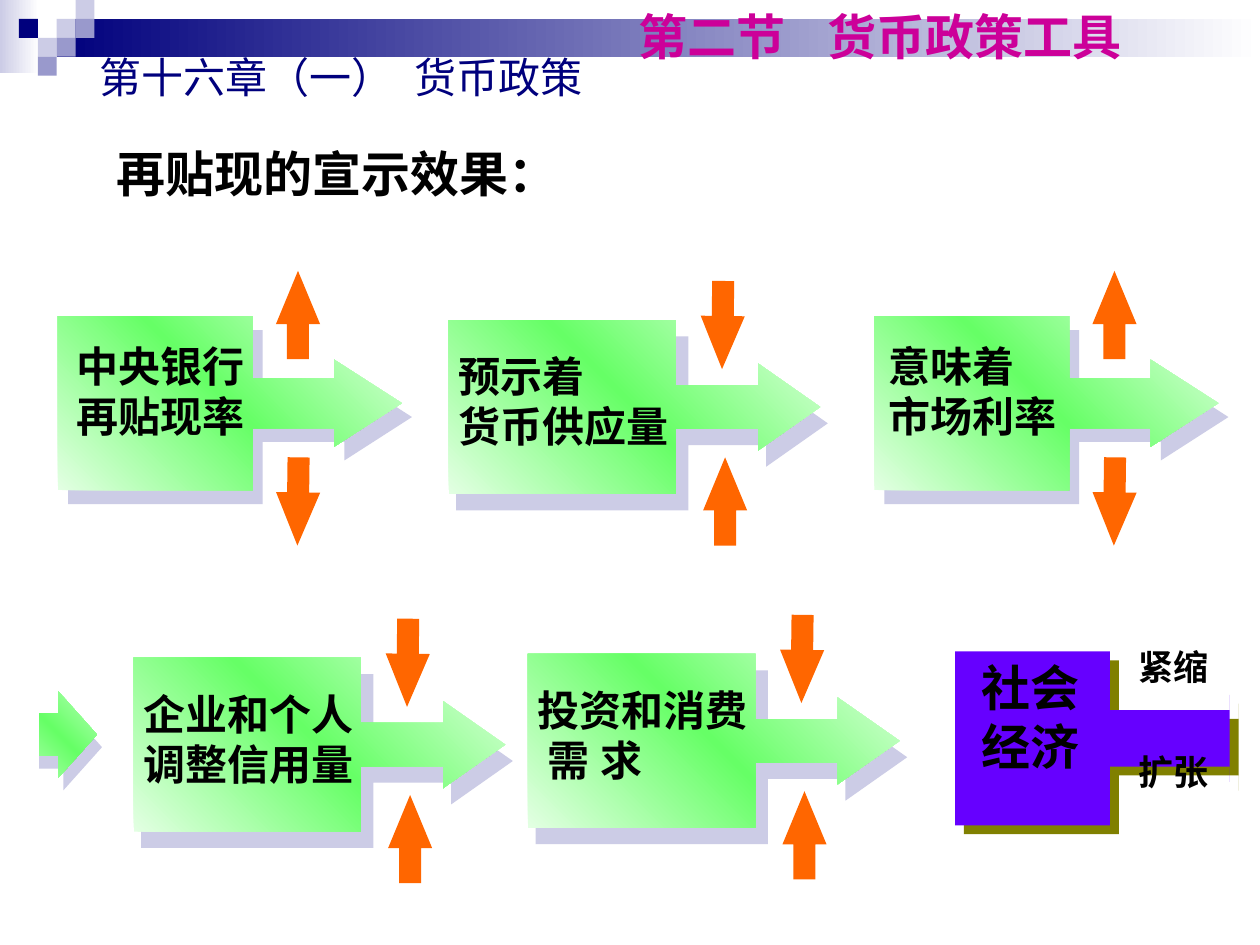
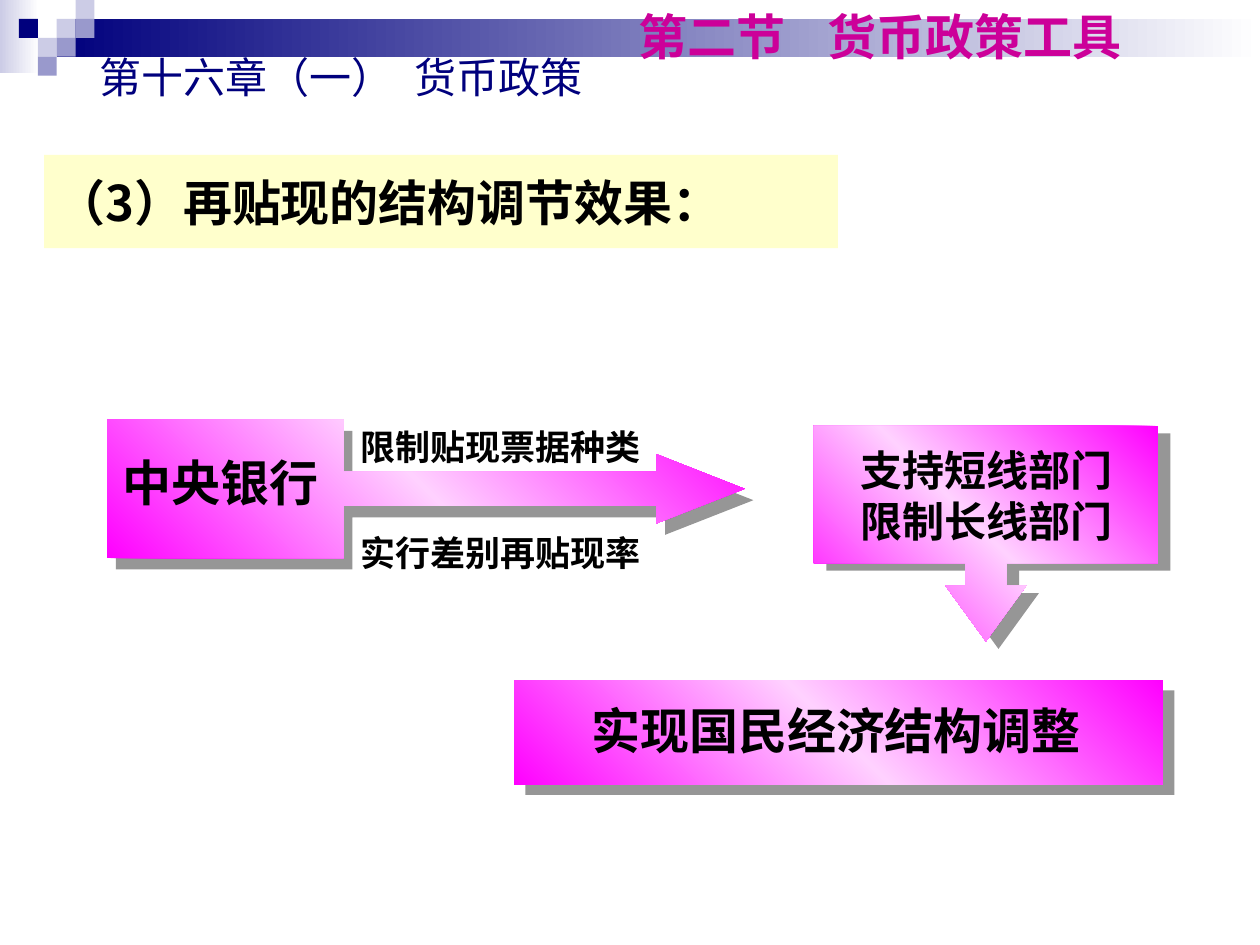
from lxml.etree import SubElement
from pptx import Presentation
from pptx.dml.color import RGBColor
from pptx.enum.shapes import MSO_SHAPE
from pptx.enum.text import MSO_ANCHOR, PP_ALIGN
from pptx.oxml.ns import qn
from pptx.util import Inches, Pt

NAVY = RGBColor(0x00, 0x00, 0x7D)
LAVENDER = RGBColor(0xCC, 0xCC, 0xE6)
PERIWINKLE = RGBColor(0x99, 0x99, 0xCC)
WHITE = RGBColor(0xFF, 0xFF, 0xFF)
BLACK = RGBColor(0x00, 0x00, 0x00)
CRIMSON = RGBColor(0xCC, 0x00, 0x99)
ORANGE = RGBColor(0xFF, 0x66, 0x00)
PALE_GREEN = RGBColor(0xE3, 0xFF, 0xE3)
GREEN = RGBColor(0x66, 0xFF, 0x66)
VIOLET = RGBColor(0x66, 0x00, 0xFF)
OLIVE = RGBColor(0x80, 0x80, 0x00)
MAGENTA = RGBColor(0xFF, 0x00, 0xFF)
PALE_PINK = RGBColor(0xFF, 0xD1, 0xFF)
GRAY = RGBColor(0x96, 0x96, 0x96)
CREAM = RGBColor(0xFF, 0xFF, 0xCC)

GREEN_SHEEN = (PALE_GREEN, GREEN, PALE_GREEN)
PINK_SHEEN = (MAGENTA, PALE_PINK, MAGENTA)
DIAGONAL = 45

CJK_FONT = "Noto Sans CJK SC"
SERIF_FONT = "Times New Roman"
HEADER_FONT = "Arial"

SMALL_CALLOUT = (0.286, 0.25, 0.389, 0.566)
LARGE_CALLOUT = (0.25, 0.25, 0.357, 0.612)
LARGE_SHADOW = (0.25, 0.25, 0.355, 0.625)
ENTRY_CALLOUT = (0.566, 0.57, 0.51, 0.062)
ECONOMY_CALLOUT = (0.324, 0.25, 0, 0.564)
BANK_CALLOUT = (0.248, 0.25, 0.637, 0.371)
SECTOR_CALLOUT = (0.191, 0.188, 0.259, 0.637)


def place(left, top, width, height):
    return Inches(left), Inches(top), Inches(width), Inches(height)


def fill_gradient(shape, colors, angle):
    """Spread the colours evenly along a linear gradient."""
    shape.fill.gradient()
    shape.fill.gradient_angle = angle
    stops = shape.element.spPr.find(qn("a:gradFill")).find(qn("a:gsLst"))
    for stop in list(stops):
        stops.remove(stop)
    for index, color in enumerate(colors):
        position = 100000 * index // (len(colors) - 1)
        stop = SubElement(stops, qn("a:gs"), pos=str(position))
        SubElement(stop, qn("a:srgbClr"), val=str(color))


def add_block(slide, box, fill, kind=MSO_SHAPE.RECTANGLE, adjustments=(),
              angle=DIAGONAL, rotation=0):
    """Add a borderless shape; a tuple of colours as fill gives a gradient."""
    shape = slide.shapes.add_shape(kind, *place(*box))
    shape.shadow.inherit = False
    shape.line.fill.background()
    shape.rotation = rotation
    for index, value in enumerate(adjustments):
        shape.adjustments[index] = value
    if isinstance(fill, RGBColor):
        shape.fill.solid()
        shape.fill.fore_color.rgb = fill
    else:
        fill_gradient(shape, fill, angle)
    return shape


def add_shadowed(slide, box, fill, shadow, offset, kind=MSO_SHAPE.RIGHT_ARROW_CALLOUT,
                 adjustments=(), shadow_adjustments=None):
    left, top, width, height = box
    shadow_box = (left + offset[0], top + offset[1], width, height)
    add_block(slide, shadow_box, shadow, kind, shadow_adjustments or adjustments)
    add_block(slide, box, fill, kind, adjustments)


def write_text(frame, lines, size=24, color=BLACK, bold=True, font=CJK_FONT,
               align=PP_ALIGN.LEFT, anchor=MSO_ANCHOR.TOP, margin=0.05,
               line_spacing=None, space_before=0, tab=None, indent=0):
    """Write lines; a line is a string or a list of (text, font) runs.

    Tab and indent, in inches, apply to the last line.
    """
    frame.word_wrap = True
    frame.vertical_anchor = anchor
    frame.margin_left = frame.margin_right = Inches(0.1)
    frame.margin_top = frame.margin_bottom = Inches(margin)
    for index, line in enumerate(lines):
        paragraph = frame.add_paragraph() if index else frame.paragraphs[0]
        if tab and index == len(lines) - 1:
            properties = paragraph._p.get_or_add_pPr()
            properties.set("marL", "0")
            properties.set("indent", str(Inches(indent)))
            tabs = SubElement(properties, qn("a:tabLst"))
            SubElement(tabs, qn("a:tab"), pos=str(Inches(tab)), algn="l")
        paragraph.alignment = align
        if line_spacing:
            paragraph.line_spacing = line_spacing
        if index and space_before:
            paragraph.space_before = Pt(space_before)
        for text, name in [(line, font)] if isinstance(line, str) else line:
            run = paragraph.add_run()
            run.text = text
            run.font.size = Pt(size)
            run.font.bold = bold
            run.font.color.rgb = color
            run.font.name = name
            SubElement(run._r.get_or_add_rPr(), qn("a:ea"), typeface=CJK_FONT)


def add_text(slide, box, *lines, **style):
    write_text(slide.shapes.add_textbox(*place(*box)).text_frame, lines, **style)


def add_header(slide):
    add_block(slide, (0, 0, 0.31, 0.58), (LAVENDER, WHITE), angle=0)
    add_block(slide, (0.45, 0.15, 9.55, 0.3), (NAVY, WHITE), angle=0)
    tile = 0.15
    for column, row, color in (
            (3, 1, LAVENDER), (4, 0, LAVENDER), (4, 1, PERIWINKLE),
            (2, 2, LAVENDER), (1, 1, NAVY), (3, 2, PERIWINKLE), (2, 3, PERIWINKLE)):
        add_block(slide, (column * tile, row * tile, tile, tile), color)
    add_text(slide, (0.69, 0.36, 4.2, 0.5), "第十六章（一）\t货币政策",
             color=NAVY, bold=False, font=HEADER_FONT, tab=2.47)
    add_text(slide, (4.97, 0, 4.2, 0.57), "第二节\t货币政策工具",
             size=28, color=CRIMSON, font=HEADER_FONT, tab=1.52)


def add_change_arrow(slide, left, top, up):
    add_block(slide, (left, top, 0.35, 0.7), ORANGE, MSO_SHAPE.UP_ARROW,
              (0.5, 1.206), rotation=0 if up else 180.8)


def add_rate_step(slide, left, top, *lines, align=PP_ALIGN.LEFT):
    """Small step: the rise is above the arrow, the fall below."""
    add_shadowed(slide, (left, top, 2.73, 1.38), GREEN_SHEEN, LAVENDER,
                 (0.08, 0.11), adjustments=SMALL_CALLOUT)
    add_change_arrow(slide, left + 1.73, top - 0.36, up=True)
    add_change_arrow(slide, left + 1.73, top + 1.12, up=False)
    add_text(slide, (left + 0.01, top + 0.14, 1.61, 0.9), *lines, align=align)


def add_quantity_step(slide, left, top, *lines, **style):
    """Large step: the fall is above the arrow, the rise below."""
    add_shadowed(slide, (left, top, 2.95, 1.38), GREEN_SHEEN, LAVENDER,
                 (0.06, 0.13), adjustments=LARGE_CALLOUT,
                 shadow_adjustments=LARGE_SHADOW)
    add_change_arrow(slide, left + 2, top - 0.31, up=False)
    add_change_arrow(slide, left + 2.02, top + 1.09, up=True)
    add_text(slide, (left - 0.02, top + 0.08, 2, 1.12), *lines,
             anchor=MSO_ANCHOR.MIDDLE, **style)


def add_entry_arrow(slide, left, top):
    add_shadowed(slide, (left, top, 0.6, 1.38), GREEN_SHEEN, LAVENDER,
                 (0.04, 0.1), adjustments=ENTRY_CALLOUT)
    add_block(slide, (left - 0.13, top - 0.1, 0.27, 1.64), WHITE)


def add_economy_result(slide, left, top):
    add_shadowed(slide, (left, top, 2.18, 1.38), VIOLET, OLIVE,
                 (0.07, 0.07), adjustments=ECONOMY_CALLOUT)
    add_text(slide, (left + 0.11, top, 1.02, 1.04), "社会经济", size=28)
    add_text(slide, (left + 1.11, top - 0.6, 1.25, 1.77), "紧缩", "扩张",
             size=20, align=PP_ALIGN.CENTER, line_spacing=2.5)


def build_announcement_slide(slide):
    add_text(slide, (0.83, 0.99, 3.92, 0.77),
             [("再贴现的", SERIF_FONT), ("宣示效果：", CJK_FONT)],
             size=28, anchor=MSO_ANCHOR.MIDDLE, margin=0)
    add_rate_step(slide, 0.46, 2.51, "中央银行", "再贴现率", align=PP_ALIGN.CENTER)
    add_quantity_step(slide, 3.56, 2.54, "预示着", "货币供应量")
    add_rate_step(slide, 6.94, 2.51, "意味着", "市场利率")
    add_entry_arrow(slide, 0.17, 5.14)
    add_quantity_step(slide, 1.06, 5.22, "企业和个人", "调整信用量")
    add_quantity_step(slide, 4.19, 5.19, "投资和消费", "需\t求", tab=0.71, indent=0.08)
    add_economy_result(slide, 7.58, 5.17)
    add_header(slide)


def add_central_bank(slide, left, top):
    add_shadowed(slide, (left, top, 5.06, 1.1), PINK_SHEEN, GRAY,
                 (0.07, 0.09), adjustments=BANK_CALLOUT)
    add_text(slide, (left + 0.01, top + 0.21, 1.78, 0.57), "中央银行",
             size=28, align=PP_ALIGN.CENTER)
    add_text(slide, (left + 1.91, top - 0.35, 2.6, 1.57),
             "限制贴现票据种类", "实行差别再贴现率",
             size=20, margin=0, line_spacing=2.2, space_before=7.5)


def add_sectors(slide, left, top):
    add_shadowed(slide, (left, top, 2.73, 1.71), PINK_SHEEN, GRAY, (0.1, 0.06),
                 MSO_SHAPE.DOWN_ARROW_CALLOUT, SECTOR_CALLOUT)
    add_text(slide, (left + 0.27, top + 0.1, 2.25, 0.9),
             "支持短线部门", "限制长线部门", anchor=MSO_ANCHOR.MIDDLE)


def add_outcome(slide, left, top):
    add_shadowed(slide, (left, top, 5.15, 0.83), PINK_SHEEN, GRAY,
                 (0.09, 0.08), MSO_SHAPE.RECTANGLE)
    add_text(slide, (left + 0.01, top + 0.11, 5.09, 0.57), "实现国民经济结构调整",
             size=28, align=PP_ALIGN.CENTER)


def build_structure_slide(slide):
    heading = add_block(slide, (0.35, 1.23, 6.3, 0.74), CREAM)
    write_text(heading.text_frame,
               [[("（3）", CJK_FONT), ("再贴现的", SERIF_FONT), ("结构调节效果：", CJK_FONT)]],
               size=28, anchor=MSO_ANCHOR.MIDDLE, margin=0)
    add_central_bank(slide, 0.85, 3.33)
    add_sectors(slide, 6.46, 3.38)
    add_outcome(slide, 4.08, 5.4)
    add_header(slide)


def main():
    presentation = Presentation()
    presentation.slide_width = Inches(10)
    presentation.slide_height = Inches(7.5)
    blank_layout = presentation.slide_layouts[6]
    for build in (build_announcement_slide, build_structure_slide):
        build(presentation.slides.add_slide(blank_layout))
    presentation.save("out.pptx")


if __name__ == "__main__":
    main()
